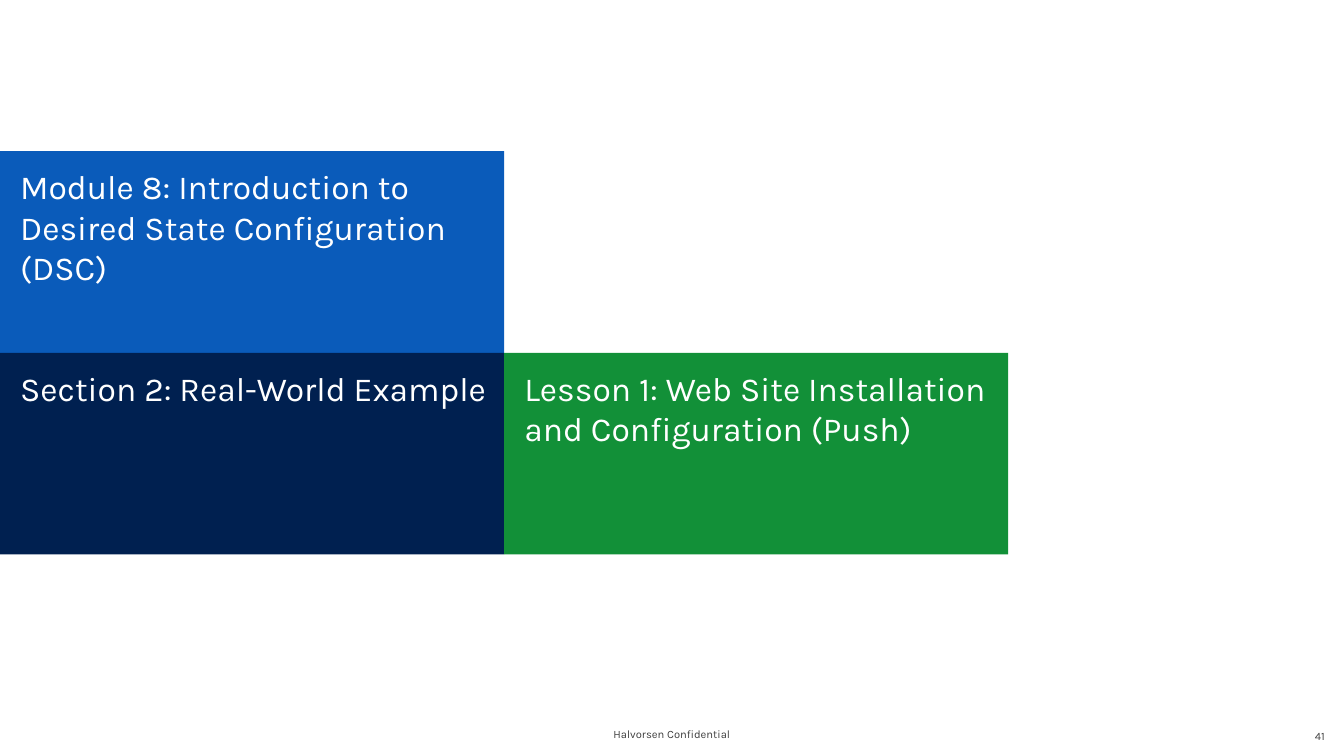
from dataclasses import dataclass

from lxml import etree
from pptx import Presentation
from pptx.dml.color import RGBColor
from pptx.enum.text import MSO_ANCHOR, MSO_AUTO_SIZE, PP_ALIGN
from pptx.oxml.ns import qn
from pptx.util import Inches, Pt

TOP, MIDDLE = MSO_ANCHOR.TOP, MSO_ANCHOR.MIDDLE
LEFT, CENTER, RIGHT = PP_ALIGN.LEFT, PP_ALIGN.CENTER, PP_ALIGN.RIGHT
NO_FIT = MSO_AUTO_SIZE.NONE
TITLE_AND_TWO_BODIES = 3


@dataclass(frozen=True)
class Theme:
    font: str = "Karla"
    tile_size: int = 24
    footer_size: int = 8
    blue: str = "0A5BBA"
    navy: str = "002050"
    green: str = "129038"
    white: str = "FFFFFF"
    gray: str = "3F3F3F"


THEME = Theme()


def write(box, text, size, color, align, anchor, insets):
    """Fill a box with one unbulleted paragraph; insets run left, top, right, bottom."""
    frame = box.text_frame
    frame.word_wrap = True
    frame.auto_size = NO_FIT
    frame.vertical_anchor = anchor
    frame.margin_left, frame.margin_top, frame.margin_right, frame.margin_bottom = map(Inches, insets)
    line = frame.paragraphs[0]
    line.alignment = align
    line.space_before = Pt(0)
    properties = line._p.get_or_add_pPr()
    properties.set("marL", "0")
    properties.set("indent", "0")
    etree.SubElement(properties, qn("a:buNone"))
    run = line.add_run()
    run.text = text
    run.font.name = THEME.font
    run.font.size = Pt(size)
    run.font.color.rgb = RGBColor.from_string(color)


deck = Presentation()
deck.slide_width, deck.slide_height = Inches(13.33), Inches(7.5)
slide = deck.slides.add_slide(deck.slide_layouts[TITLE_AND_TWO_BODIES])
module, section, lesson = list(slide.placeholders)[:3]

# Breadcrumb tiles on a grid of 5 x 2 inch cells
TILE_WIDTH, TILE_HEIGHT, GRID_TOP = 5, 2, 1.5
tiles = [
    (module, 0, 0, THEME.blue, "Module 8: Introduction to Desired State Configuration (DSC)"),
    (section, 0, 1, THEME.navy, "Section 2: Real-World Example"),
    (lesson, 1, 1, THEME.green, "Lesson 1: Web Site Installation and Configuration (Push)"),
]
for tile, column, row, fill, text in tiles:
    tile.left = Inches(column * TILE_WIDTH)
    tile.top = Inches(GRID_TOP + row * TILE_HEIGHT)
    tile.width, tile.height = Inches(TILE_WIDTH), Inches(TILE_HEIGHT)
    tile.fill.solid()
    tile.fill.fore_color.rgb = RGBColor.from_string(fill)
    write(tile, text, THEME.tile_size, THEME.white, LEFT, TOP, (0.2, 0.15, 0.1, 0.05))

# Footer
footers = [
    ("Halvorsen Confidential", 5.11, 7.08, CENTER),
    ("41", 10.23, 7.1, RIGHT),
]
for text, left, top, align in footers:
    footer = slide.shapes.add_textbox(Inches(left), Inches(top), Inches(3.11), Inches(0.4))
    write(footer, text, THEME.footer_size, THEME.gray, align, MIDDLE, (0.2, 0.05, 0.2, 0.05))

deck.save("out.pptx")
